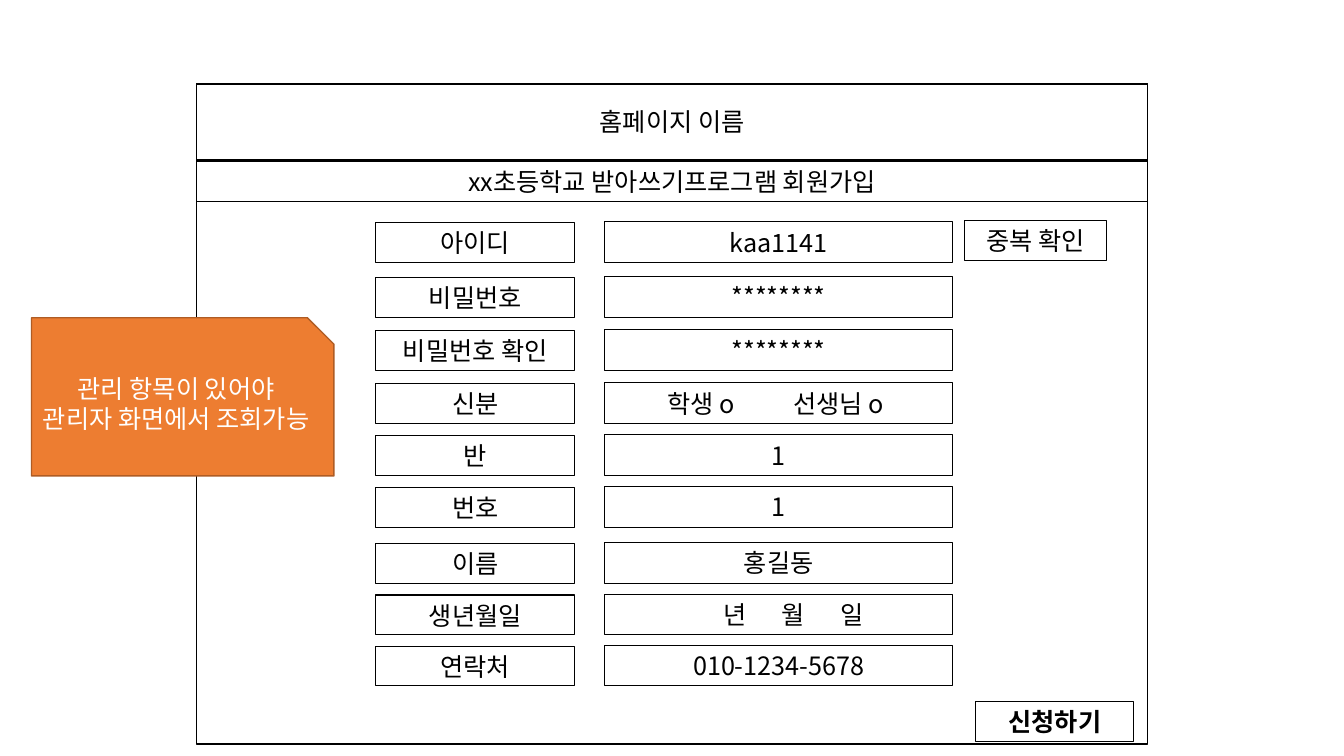
from pptx import Presentation
from pptx.dml.color import RGBColor
from pptx.enum.shapes import MSO_SHAPE
from pptx.enum.text import MSO_ANCHOR, MSO_AUTO_SIZE, PP_ALIGN
from pptx.oxml.ns import qn
from pptx.util import Pt
from lxml import etree

BLACK = RGBColor(0x00, 0x00, 0x00)
WHITE = RGBColor(0xFF, 0xFF, 0xFF)
ORANGE = RGBColor(0xED, 0x7D, 0x31)
BROWN = RGBColor(0xAF, 0x5C, 0x24)


class FormSlide:
    font = "Noto Sans CJK KR"
    size = Pt(18)

    def __init__(self, prs):
        self.slide = prs.slides.add_slide(prs.slide_layouts[5])

    def paint(self, sp, fill, line, width):
        if fill is None:
            sp.fill.background()
        else:
            sp.fill.solid()
            sp.fill.fore_color.rgb = fill
        sp.line.color.rgb = line
        sp.line.width = Pt(width)

    def set_text(self, sp, text, color=BLACK, bold=False, spacing=1.0):
        tf = sp.text_frame
        tf.text = text
        tf.word_wrap = True
        tf.auto_size = MSO_AUTO_SIZE.NONE
        tf.vertical_anchor = MSO_ANCHOR.MIDDLE
        tf.margin_left = tf.margin_right = tf.margin_top = tf.margin_bottom = 0
        for p in tf.paragraphs:
            p.alignment = PP_ALIGN.CENTER
            p.line_spacing = spacing
            for r in p.runs:
                r.font.name = self.font
                r.font.size = self.size
                r.font.bold = bold
                r.font.color.rgb = color
                ea = etree.SubElement(r._r.get_or_add_rPr(), qn("a:ea"))
                ea.set("typeface", self.font)

    def title(self, text, x, y, w, h):
        sp = self.slide.shapes.title
        sp.left, sp.top, sp.width, sp.height = Pt(x), Pt(y), Pt(w), Pt(h)
        self.paint(sp, WHITE, BLACK, 1)
        self.set_text(sp, text)

    def shape(self, x, y, w, h, kind=MSO_SHAPE.RECTANGLE, fill=None, line=BLACK, width=0.75):
        sp = self.slide.shapes.add_shape(kind, Pt(x), Pt(y), Pt(w), Pt(h))
        sp.shadow.inherit = False
        self.paint(sp, fill, line, width)
        return sp

    def box(self, text, x, y, w, h=28.5, bold=False):
        sp = self.shape(x, y, w, h)
        self.set_text(sp, text, bold=bold)
        return sp

    def tabbed_box(self, items, stops, x, y, w, h):
        sp = self.box("".join("\t" + item for item in items), x, y, w, h)
        p = sp.text_frame.paragraphs[0]
        p.alignment = PP_ALIGN.LEFT
        tabs = etree.SubElement(p._p.get_or_add_pPr(), qn("a:tabLst"))
        for stop in stops:
            etree.SubElement(tabs, qn("a:tab"), pos=str(Pt(stop)), algn="l")

    def callout(self, text, x, y, w, h):
        sp = self.shape(x, y, w, h, MSO_SHAPE.SNIP_1_RECTANGLE, ORANGE, BROWN, 1)
        self.set_text(sp, text, WHITE, spacing=Pt(21.5))


PAGE_X, PAGE_Y, PAGE_W = 140.5, 60, 679
LABEL_X, LABEL_W = 268.5, 142
FIELD_X, FIELD_W, FIELD_H = 432, 248.5, 29

ROWS = [
    (158.5, "아이디", "kaa1141", None),
    (197.5, "비밀번호", "********", None),
    (235.5, "비밀번호 확인", "********", None),
    (273.5, "신분", ["학생 o", "선생님 o"], [44.5, 134.5]),
    (310.5, "반", "1", None),
    (347.5, "번호", "1", None),
    (387.5, "이름", "홍길동", None),
    (424.5, "생년월일", ["년", "월", "일"], [84.5, 126, 168]),
    (461, "연락처", "010-1234-5678", None),
]

prs = Presentation()
prs.slide_width, prs.slide_height = Pt(960), Pt(540)
s = FormSlide(prs)

s.shape(PAGE_X, PAGE_Y, PAGE_W, 471.5, width=1)
s.title("홈페이지 이름", PAGE_X, PAGE_Y, PAGE_W, 54)
s.box("xx초등학교 받아쓰기프로그램 회원가입", PAGE_X, 115, PAGE_W, 29)

for y, label, value, stops in ROWS:
    s.box(label, LABEL_X, y + 0.5, LABEL_W)
    if stops:
        s.tabbed_box(value, stops, FIELD_X, y, FIELD_W, FIELD_H)
    else:
        s.box(value, FIELD_X, y, FIELD_W, FIELD_H)

s.box("중복 확인", 689, 157.5, 101.5)
s.box("신청하기", 697, 501, 113, 29, bold=True)
s.callout("관리 항목이 있어야\n관리자 화면에서 조회가능", 22.5, 227, 216, 113)

prs.save("out.pptx")
